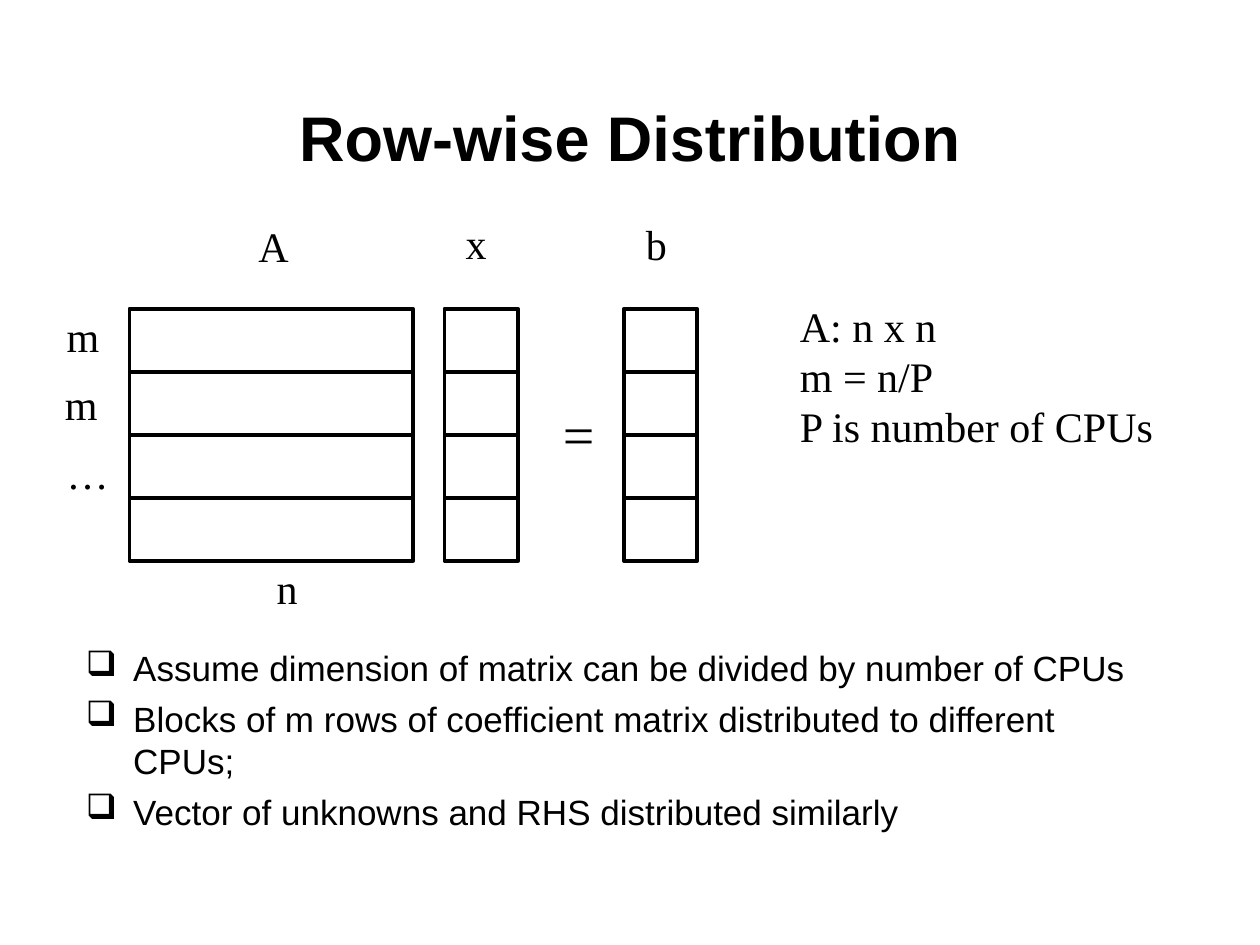
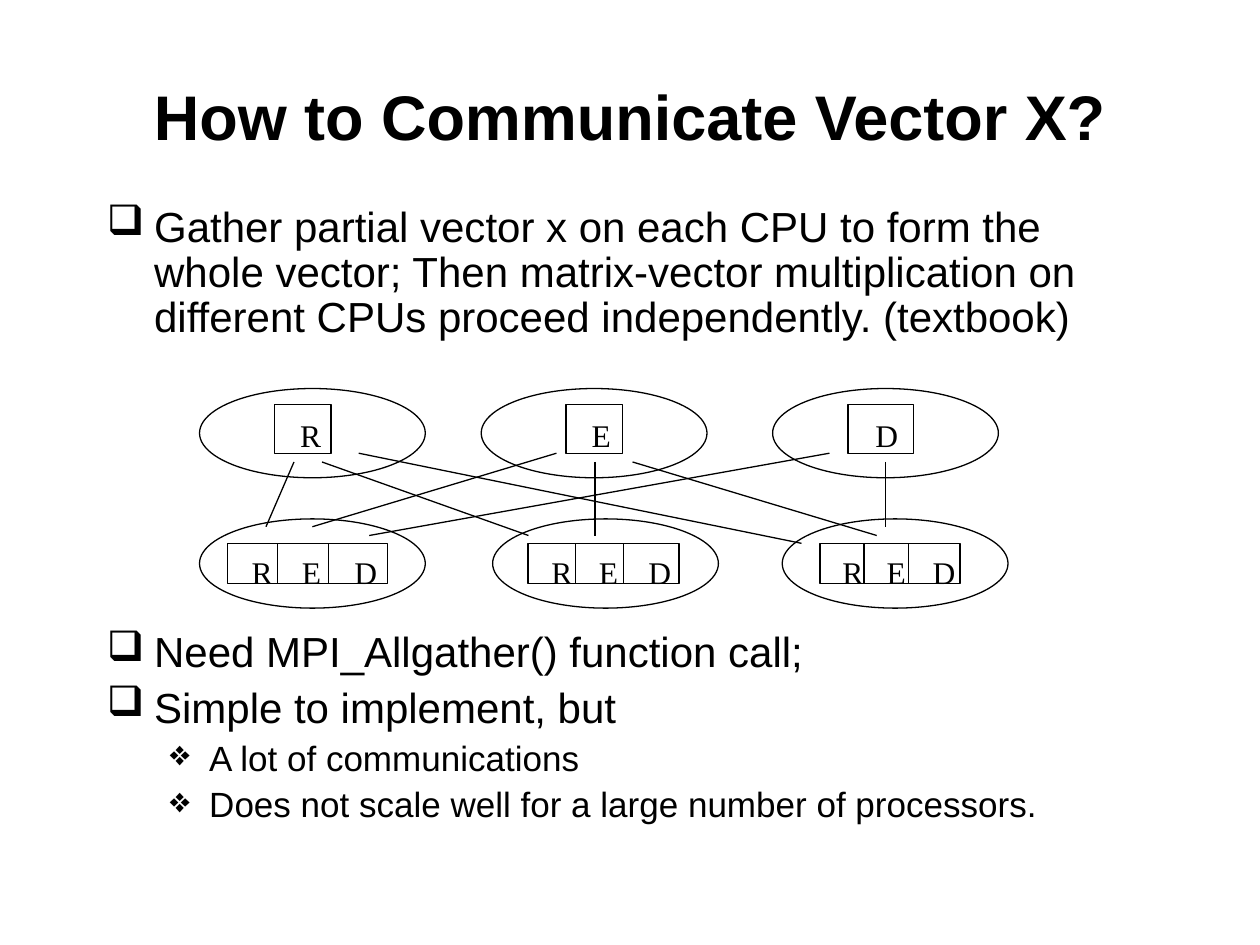
from pptx import Presentation
from pptx.dml.color import RGBColor
from pptx.enum.shapes import MSO_CONNECTOR, MSO_SHAPE
from pptx.enum.text import MSO_ANCHOR, PP_ALIGN
from pptx.oxml.ns import qn
from pptx.util import Pt
from lxml.etree import SubElement

COLORS = {"ink": "000000", "paper": "FFFFFF"}
SANS, SERIF = "Arial", "Times New Roman"

# Per level: bullet, text indent, bullet offset
BULLETS = [("❑", 27, -27), ("❖", 58.5, -22.5)]


def color(name):
    return RGBColor.from_string(COLORS[name])


def add_page(deck):
    page = deck.slides.add_slide(deck.slide_layouts[6])
    page.background.fill.solid()
    page.background.fill.fore_color.rgb = color("paper")
    return page


def add_box(page, left, top, width, height, wrap=True):
    box = page.shapes.add_textbox(Pt(left), Pt(top), Pt(width), Pt(height))
    box.text_frame.word_wrap = wrap
    return box.text_frame


def add_paragraph(frame, index):
    return frame.add_paragraph() if index else frame.paragraphs[0]


def add_span(para, text, size, font, bold=False):
    span = para.add_run()
    span.text = text
    span.font.size = Pt(size)
    span.font.name = font
    span.font.bold = bold
    span.font.color.rgb = color("ink")


def add_title(page, text, top):
    frame = add_box(page, 54, top, 612, 60)
    frame.vertical_anchor = MSO_ANCHOR.MIDDLE
    para = frame.paragraphs[0]
    para.alignment = PP_ALIGN.CENTER
    add_span(para, text, 36, SANS, bold=True)


def add_label(page, lines, left, top, width, height=36, size=24):
    frame = add_box(page, left, top, width, height, wrap=False)
    for index, line in enumerate(lines):
        add_span(add_paragraph(frame, index), line, size, SERIF)


def add_bullets(page, place, items, spacing=None):
    """Each item is (level, text, size, space before)."""
    frame = add_box(page, *place)
    for index, (level, text, size, before) in enumerate(items):
        para = add_paragraph(frame, index)
        para.level = level
        para.space_before = Pt(before)
        para.line_spacing = spacing
        mark, indent, offset = BULLETS[level]
        properties = para._p.get_or_add_pPr()
        properties.set("marL", str(Pt(indent)))
        properties.set("indent", str(Pt(offset)))
        SubElement(properties, qn("a:buChar")).set("char", mark)
        add_span(para, text, size, SANS)


def add_outline(page, kind, left, top, width, height, weight):
    shape = page.shapes.add_shape(kind, Pt(left), Pt(top), Pt(width), Pt(height))
    shape.shadow.inherit = False
    shape.fill.background()
    shape.line.color.rgb = color("ink")
    shape.line.width = Pt(weight)


def add_line(page, start, end):
    line = page.shapes.add_connector(
        MSO_CONNECTOR.STRAIGHT, *(Pt(value) for value in start + end))
    line.line.color.rgb = color("ink")
    line.line.width = Pt(0.75)
    SubElement(line._element.spPr, qn("a:effectLst"))


def add_row_blocks(page, left, width, top=176.5, height=36, count=4):
    for row in range(count):
        add_outline(page, MSO_SHAPE.RECTANGLE, left, top + row * height,
                    width, height, 2.25)


def add_cells(page, letters, left, top, unit, height, drop):
    """Adjoining lettered cells; the one for D is wider."""
    for letter in letters:
        width = unit * (1.17 if letter == "D" else 1)
        add_outline(page, MSO_SHAPE.RECTANGLE, left, top, width, height, 0.75)
        add_label(page, [letter], left + 0.23 * width, top + drop, 26, 29, 18)
        left += width


def build_distribution(deck):
    page = add_page(deck)
    add_title(page, "Row-wise Distribution", 48)
    add_bullets(page, (42, 366, 618, 138), [
        (0, "Assume dimension of matrix can be divided by number of CPUs", 20, 5),
        (0, "Blocks of m rows of coefficient matrix distributed to different CPUs;", 20, 5),
        (0, "Vector of unknowns and RHS distributed similarly", 20, 5),
    ])

    # Matrix A, vector x and vector b
    for left, width in [(74, 162), (254, 42), (356.5, 42)]:
        add_row_blocks(page, left, width)
    add_label(page, ["="], 314.5, 224.5, 32.5, 46, 32)

    # Names and dimensions
    for text, left, top, width in [
        ("A", 140.5, 122.5, 31.5), ("x", 259, 120.5, 26), ("b", 362, 121.5, 26),
        ("m", 31, 174, 33), ("m", 30, 212.5, 33), ("…", 31, 252, 38.5),
        ("n", 151, 318, 26),
    ]:
        add_label(page, [text], left, top, width)
    add_label(page, ["A: n x n", "m = n/P", "P is number of CPUs"],
              450, 168, 217, 94)


def build_communication(deck):
    page = add_page(deck)
    add_title(page, "How to Communicate Vector X?", 36)
    add_bullets(page, (54, 114, 612, 90), [
        (0, "Gather partial vector x on each CPU to form the whole vector; "
            "Then matrix-vector multiplication on different CPUs proceed "
            "independently. (textbook)", 24, 6),
    ], 0.9)
    add_bullets(page, (54, 357, 612, 147), [
        (0, "Need MPI_Allgather() function call;", 24, 6),
        (0, "Simple to implement, but", 24, 6),
        (1, "A lot of communications", 20, 5),
        (1, "Does not scale well for a large number of processors.", 20, 5),
    ], 0.9)

    # One part per CPU before the gather, the whole vector after it
    for letter, left in [("R", 157), ("E", 323.5), ("D", 484.5)]:
        add_cells(page, letter, left, 231, 32.2, 28, 3)
    for left, unit in [(130, 28.8), (301.75, 27.2), (468.5, 25.3)]:
        add_cells(page, "RED", left, 310.5, unit, 23, 2)

    # CPUs
    for top, lefts in [(222, (114, 275, 441.5)), (296.5, (114, 281.5, 447))]:
        for left in lefts:
            add_outline(page, MSO_SHAPE.OVAL, left, top, 129, 51, 0.75)

    # Messages from each part to each CPU
    for start, end in [
        ((168, 264), (152, 301)), ((318, 259), (178.5, 301)),
        ((474, 259), (211, 306)), ((184, 264), (302, 306)),
        ((205, 259), (458, 310.5)), ((340, 264), (340, 306)),
        ((361.5, 264), (501, 306)), ((506, 264), (506, 301)),
    ]:
        add_line(page, start, end)


def main():
    deck = Presentation()
    deck.slide_width, deck.slide_height = Pt(720), Pt(540)
    build_distribution(deck)
    build_communication(deck)
    deck.save("out.pptx")


if __name__ == "__main__":
    main()
